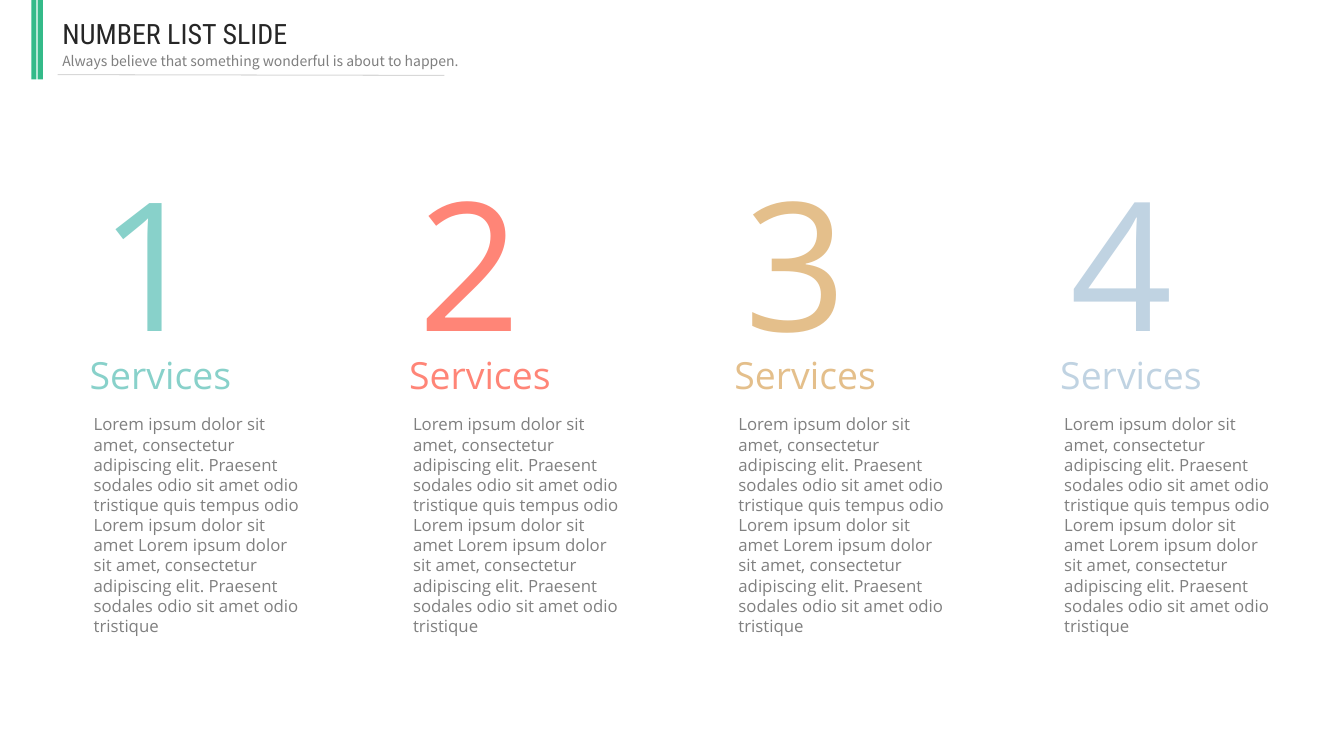
from lxml import etree
from pptx import Presentation
from pptx.dml.color import RGBColor
from pptx.enum.shapes import MSO_CONNECTOR, MSO_SHAPE
from pptx.enum.text import MSO_ANCHOR, MSO_AUTO_SIZE, PP_ALIGN
from pptx.oxml.ns import qn
from pptx.util import Cm, Pt

LEFT, CENTER = PP_ALIGN.LEFT, PP_ALIGN.CENTER
TOP, GROW = MSO_ANCHOR.TOP, MSO_AUTO_SIZE.SHAPE_TO_FIT_TEXT
RECT, LINE = MSO_SHAPE.RECTANGLE, MSO_CONNECTOR.STRAIGHT

TEAL = RGBColor(0x88, 0xD1, 0xCA)
CORAL = RGBColor(0xFF, 0x85, 0x77)
SAND = RGBColor(0xE4, 0xBF, 0x8B)
SKY = RGBColor(0xC0, 0xD3, 0xE2)
GREEN = RGBColor(0x34, 0xBA, 0x89)
DARK = RGBColor(0x26, 0x26, 0x26)
GRAY = RGBColor(0x80, 0x80, 0x80)
MUTED = RGBColor(0x7F, 0x7F, 0x7F)
PALE = RGBColor(0xD8, 0xD8, 0xD8)

SANS = "Open Sans"
TITLE = "NUMBER LIST SLIDE"
MOTTO = "Always believe that something wonderful is about to happen."
LOREM = (
    "Lorem ipsum dolor sit amet, consectetur adipiscing elit. "
    "Praesent sodales odio sit amet odio tristique quis tempus odio "
    "Lorem ipsum dolor sit amet Lorem ipsum dolor sit amet, consectetur "
    "adipiscing elit. Praesent sodales odio sit amet odio tristique"
)
# number, heading, body, colour, left edge in cm
COLUMNS = [
    ("1", "Services", LOREM, TEAL, 2.11),
    ("2", "Services", LOREM, CORAL, 10.16),
    ("3", "Services", LOREM, SAND, 18.36),
    ("4", "Services", LOREM, SKY, 26.57),
]
BARS = [0.79, 0.95]


def place(box):
    """Turn left, top, width and height in cm into lengths."""
    return [Cm(side) for side in box]


def write(shape, text, size, color, font=SANS, align=LEFT):
    frame = shape.text_frame
    frame.word_wrap = True
    frame.auto_size = GROW
    frame.vertical_anchor = TOP
    para = frame.paragraphs[0]
    para.alignment = align
    run = para.add_run()
    run.text = text
    run.font.size = Pt(size)
    run.font.name = font
    run.font.color.rgb = color


def add_column(slide, number, heading, body, color, left):
    shapes = slide.shapes.add_group_shape().shapes
    text = shapes.add_textbox(*place((left, 10.31, 5.72, 5.89)))
    write(text, body, 12, GRAY)
    head = shapes.add_textbox(*place((left - 0.1, 8.74, 5.03, 1.4)))
    write(head, heading, 26.7, color)
    digit = shapes.add_textbox(*place((left + 0.15, 3.71, 2.11, 5.74)))
    write(digit, number, 128, color, align=CENTER)


def add_header(slide):
    bars = slide.shapes.add_group_shape().shapes
    for left in BARS:
        bar = bars.add_shape(RECT, *place((left, 0, 0.13, 2)))
        bar.shadow.inherit = False
        bar.fill.solid()
        bar.fill.fore_color.rgb = GREEN
        bar.line.fill.background()

    title = slide.shapes.title
    title.left, title.top, title.width, title.height = place(
        (1.32, 0.28, 10.74, 1.12))
    write(title, TITLE, 20, DARK, font="Roboto Condensed")

    motto = slide.shapes.add_textbox(*place((1.32, 1.19, 10.74, 0.69)))
    write(motto, MOTTO, 10, MUTED, font="Noto Sans CJK SC")

    rule = slide.shapes.add_connector(LINE, *place((1.45, 1.88, 11.2, 1.9)))
    rule.line.color.rgb = PALE
    rule.line.width = Pt(0.75)
    props = rule._element.find(qn("p:spPr"))
    etree.SubElement(props, qn("a:effectLst"))


def main():
    deck = Presentation()
    deck.slide_width, deck.slide_height = Cm(33.87), Cm(19.05)
    slide = deck.slides.add_slide(deck.slide_layouts[5])
    for column in COLUMNS:
        add_column(slide, *column)
    add_header(slide)
    deck.save("out.pptx")


if __name__ == "__main__":
    main()
